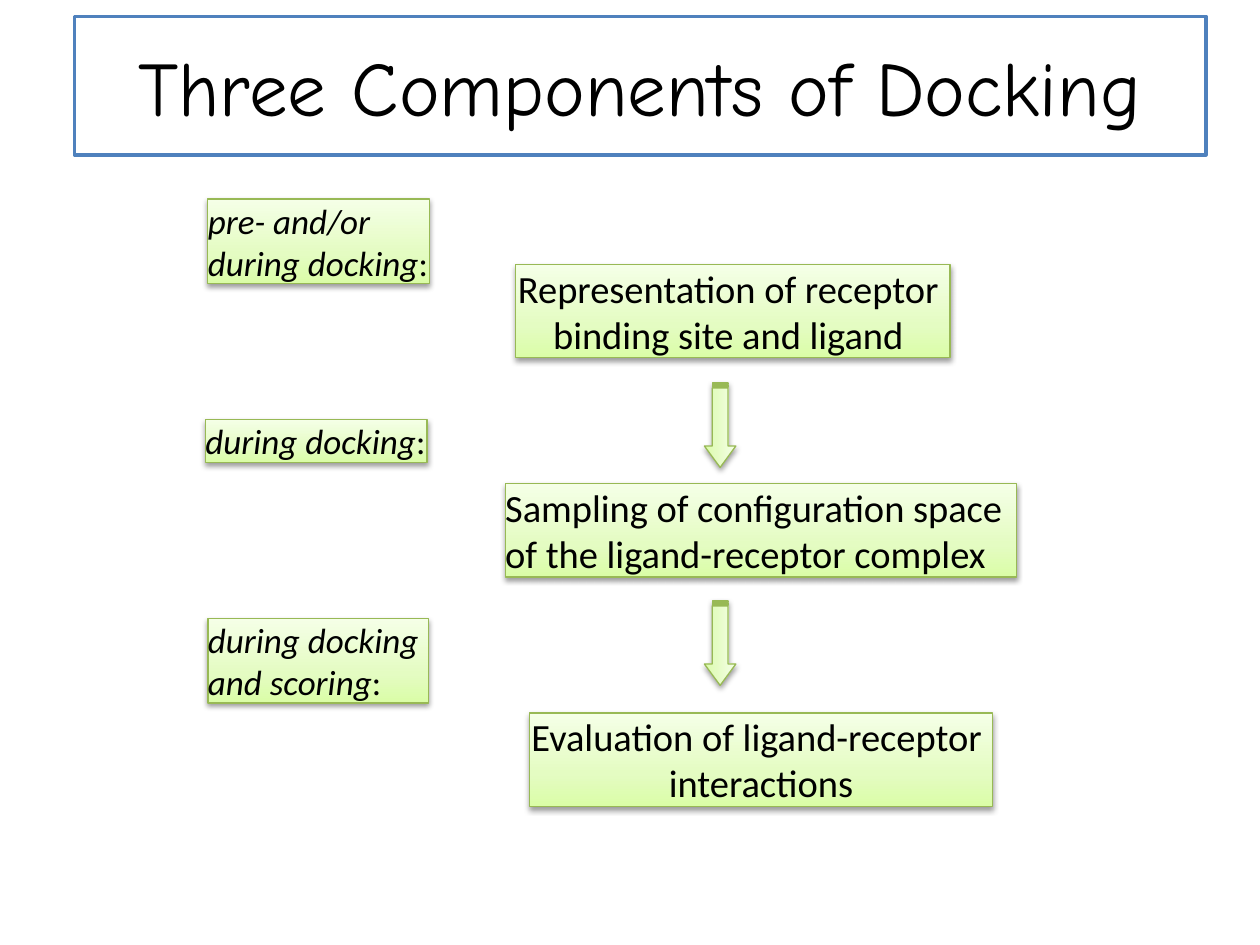
from pptx import Presentation
from pptx.dml.color import RGBColor
from pptx.enum.shapes import MSO_SHAPE
from pptx.enum.text import MSO_ANCHOR, MSO_AUTO_SIZE, PP_ALIGN
from pptx.oxml import parse_xml
from pptx.oxml.ns import nsdecls, qn
from pptx.util import Inches, Pt

RECTANGLE = MSO_SHAPE.RECTANGLE
STRIPED_ARROW = MSO_SHAPE.STRIPED_RIGHT_ARROW
LEFT, CENTER = PP_ALIGN.LEFT, PP_ALIGN.CENTER
MIDDLE, TOP = MSO_ANCHOR.MIDDLE, MSO_ANCHOR.TOP
FIT_SHAPE = MSO_AUTO_SIZE.SHAPE_TO_FIT_TEXT

COLORS = {
    "text": "000000",
    "background": "FFFFFF",
    "title_line": "4F81BD",
    "green_line": "98B955",
    "green_dark": "DAFDA7",
    "green_mid": "E4FCC2",
    "green_light": "F5FFE7",
    "shadow": "000000",
}
GRADIENT = [(0, "green_dark"), (35, "green_mid"), (100, "green_light")]


def add_green_shape(kind, left, top, width, height):
    shape = slide.shapes.add_shape(
        kind, Inches(left), Inches(top), Inches(width), Inches(height))
    shape.shadow.inherit = False
    shape.line.color.rgb = RGBColor.from_string(COLORS["green_line"])
    shape.line.width = Pt(0.75)
    stops = "".join(
        f'<a:gs pos="{position * 1000}"><a:srgbClr val="{COLORS[name]}"/></a:gs>'
        for position, name in GRADIENT)
    properties = shape._element.spPr
    properties.find(qn("a:prstGeom")).addnext(parse_xml(
        f'<a:gradFill {nsdecls("a")} rotWithShape="1"><a:gsLst>{stops}</a:gsLst>'
        '<a:lin ang="16200000" scaled="0"/></a:gradFill>'))
    properties.find(qn("a:effectLst")).append(parse_xml(
        f'<a:outerShdw {nsdecls("a")} blurRad="40000" dist="20000" dir="5400000" '
        f'rotWithShape="0"><a:srgbClr val="{COLORS["shadow"]}">'
        '<a:alpha val="38000"/></a:srgbClr></a:outerShdw>'))
    return shape


def add_run(paragraph, text, font_name, size, italic=False):
    run = paragraph.add_run()
    run.text = text
    run.font.name = font_name
    run.font.size = Pt(size)
    run.font.italic = italic
    run.font.color.rgb = RGBColor.from_string(COLORS["text"])


presentation = Presentation()
presentation.slide_width = Inches(10)
presentation.slide_height = Inches(7.5)
slide = presentation.slides.add_slide(presentation.slide_layouts[6])

title = slide.shapes.add_shape(
    RECTANGLE, Inches(0.59), Inches(0.13), Inches(8.98), Inches(1.1))
title.shadow.inherit = False
title.fill.solid()
title.fill.fore_color.rgb = RGBColor.from_string(COLORS["background"])
title.line.color.rgb = RGBColor.from_string(COLORS["title_line"])
title.line.width = Pt(2)
title.text_frame.word_wrap = True
title.text_frame.vertical_anchor = MIDDLE
title_paragraph = title.text_frame.paragraphs[0]
title_paragraph.alignment = CENTER
add_run(title_paragraph, "Three Components of Docking", "Comic Neue", 44)

STEP_SIZE, STAGE_SIZE = 22, 20
boxes = [
    (4.09, 2.1, 3.45, 0.74, STEP_SIZE, CENTER,
     ["Representation of receptor ", "binding site and ligand "]),
    (1.65, 1.58, 1.76, 0.67, STAGE_SIZE, LEFT, ["pre- and/or ", "during docking:"]),
    (4.01, 3.84, 4.06, 0.74, STEP_SIZE, LEFT,
     ["Sampling of configuration space ", "of the ligand-receptor complex"]),
    (1.63, 3.33, 1.76, 0.34, STAGE_SIZE, LEFT, ["during docking:"]),
    (4.2, 5.66, 3.68, 0.74, STEP_SIZE, CENTER,
     ["Evaluation of ligand-receptor ", "interactions"]),
    (1.65, 4.91, 1.75, 0.67, STAGE_SIZE, LEFT, ["during docking ", "and scoring:"]),
]
for left, top, width, height, size, alignment, lines in boxes:
    box = add_green_shape(RECTANGLE, left, top, width, height)
    frame = box.text_frame
    frame.margin_left = frame.margin_right = frame.margin_top = frame.margin_bottom = 0
    frame.word_wrap = False
    frame.auto_size = FIT_SHAPE
    frame.vertical_anchor = TOP
    for index, line in enumerate(lines):
        paragraph = frame.add_paragraph() if index else frame.paragraphs[0]
        paragraph.alignment = alignment
        words, colon, _ = line.partition(":")
        add_run(paragraph, words, "Calibri", size, size == STAGE_SIZE)
        if colon:
            add_run(paragraph, colon, "Calibri", size)

for top in (3.25, 4.98):
    arrow = add_green_shape(STRIPED_ARROW, 5.38, top, 0.67, 0.25)
    arrow.rotation = 90
    arrow.adjustments[0] = 0.5
    arrow.adjustments[1] = 0.68

presentation.save("out.pptx")
